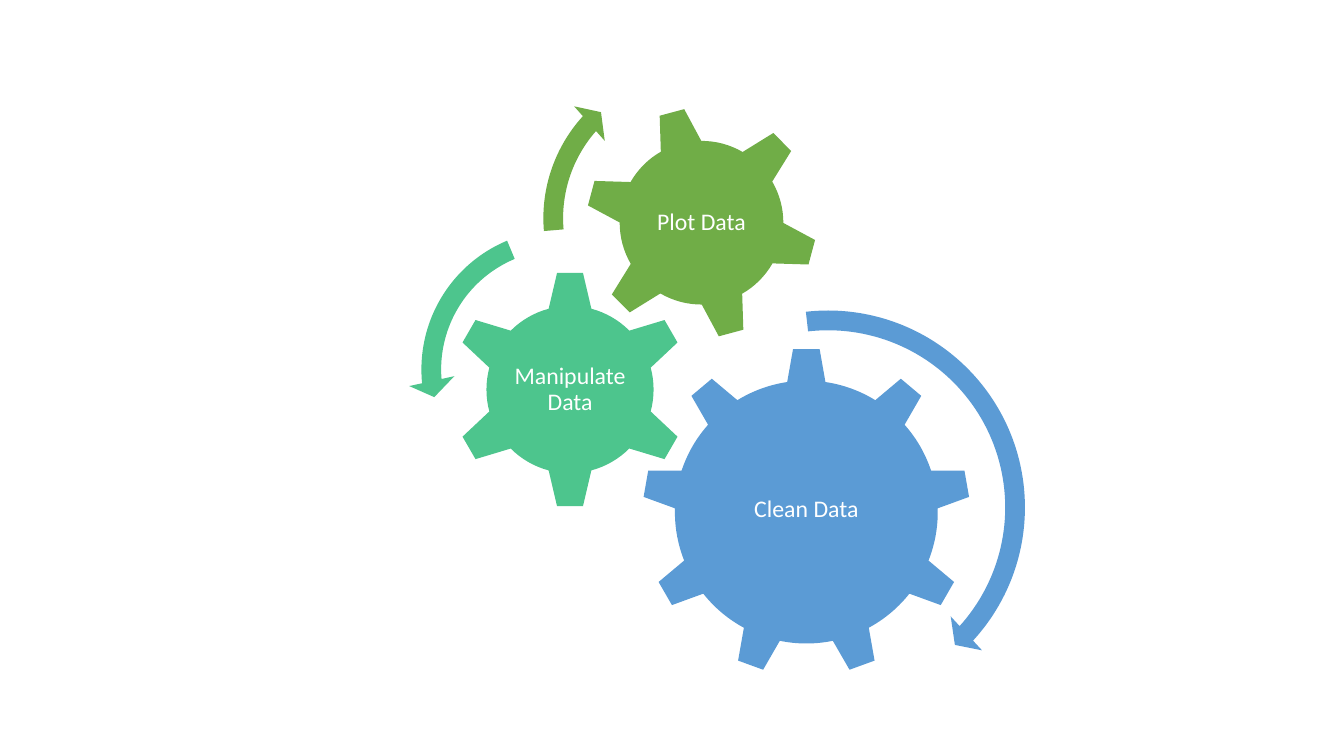
import dataclasses

import pptx
import pptx.dml.color
import pptx.enum.shapes
import pptx.enum.text
import pptx.util

Pt = pptx.util.Pt
Preset = pptx.enum.shapes.MSO_SHAPE


@dataclasses.dataclass(frozen=True)
class Theme:
    """Colours, type and arrow weights of the slide."""
    blue: str = "5B9BD5"
    teal: str = "4DC58D"
    green: str = "70AD47"
    label: str = "FFFFFF"
    font: str = "Calibri"
    label_size: float = 17
    label_inset: float = 1.5
    line_spacing: float = 0.9
    arrow_thickness: float = 14.1
    arrow_head: float = 16.5


@dataclasses.dataclass(frozen=True)
class Gear:
    """A labelled gear; centres are relative to the diagram box."""
    text: str
    color: str
    preset: int
    center: tuple
    side: float
    rotation: float
    label_box: tuple
    label_lift: float


@dataclasses.dataclass(frozen=True)
class Arrow:
    """A curved arrow with its head, end and start angles in degrees."""
    color: str
    preset: int
    center: tuple
    side: float
    angles: tuple


THEME = Theme()
DIAGRAM_ORIGIN = (290, 36)
GEARS = [
    Gear("Clean Data", THEME.blue, Preset.GEAR_9, (286, 329.8), 234.7, 0, (140.4, 121), 1.4),
    Gear("Manipulate Data", THEME.teal, Preset.GEAR_6, (117.2, 242.3), 170.6, 0, (85, 84.2), 0),
    Gear("Plot Data", THEME.green, Preset.GEAR_6, (211.1, 123.1), 167, 345, (93.6, 93.6), 0),
]
ARROWS = [
    Arrow(THEME.blue, Preset.CIRCULAR_ARROW, (301.5, 326.5), 300.2, (4.98, 42.32, 263.54)),
    Arrow(THEME.teal, Preset.LEFT_CIRCULAR_ARROW, (110.7, 227.9), 218.2, (7.17, 174.82, 247.3)),
    Arrow(THEME.green, Preset.CIRCULAR_ARROW, (206.4, 119.9), 235.4, (6.57, 221.9, 175.14)),
]


def centered_box(origin, center, width, height):
    """Return left, top, width and height of a box around a relative centre."""
    left = origin[0] + center[0] - width / 2
    top = origin[1] + center[1] - height / 2
    return Pt(left), Pt(top), Pt(width), Pt(height)


def add_flat_shape(shapes, preset, box, color):
    """Add a preset shape with a plain fill, no line and no shadow."""
    shape = shapes.add_shape(preset, *box)
    shape.shadow.inherit = False
    shape.fill.solid()
    shape.fill.fore_color.rgb = pptx.dml.color.RGBColor.from_string(color)
    shape.line.fill.background()
    return shape


def add_label(shapes, text, box):
    """Add a centred, wrapping label."""
    frame = shapes.add_textbox(*box).text_frame
    frame.word_wrap = True
    frame.vertical_anchor = pptx.enum.text.MSO_ANCHOR.MIDDLE
    frame.margin_left = frame.margin_right = Pt(THEME.label_inset)
    frame.margin_top = frame.margin_bottom = Pt(THEME.label_inset)
    paragraph = frame.paragraphs[0]
    paragraph.alignment = pptx.enum.text.PP_ALIGN.CENTER
    paragraph.line_spacing = THEME.line_spacing
    run = paragraph.add_run()
    run.text = text
    run.font.name = THEME.font
    run.font.size = Pt(THEME.label_size)
    run.font.color.rgb = pptx.dml.color.RGBColor.from_string(THEME.label)


def add_gear(shapes, origin, gear):
    """Add a gear and its upright label."""
    box = centered_box(origin, gear.center, gear.side, gear.side)
    add_flat_shape(shapes, gear.preset, box, gear.color).rotation = gear.rotation
    label_center = (gear.center[0], gear.center[1] - gear.label_lift)
    add_label(shapes, gear.text, centered_box(origin, label_center, *gear.label_box))


def add_arrow(shapes, origin, arrow):
    """Add a curved arrow of the common thickness."""
    box = centered_box(origin, arrow.center, arrow.side, arrow.side)
    shape = add_flat_shape(shapes, arrow.preset, box, arrow.color)
    values = [THEME.arrow_thickness / arrow.side]
    values += [angle * 60000 / 100000 for angle in arrow.angles]
    values.append(THEME.arrow_head / arrow.side)
    for index, value in enumerate(values):
        shape.adjustments[index] = value


def add_gear_diagram(slide, origin):
    """Add the grouped gears and arrows from the given top-left corner."""
    shapes = slide.shapes.add_group_shape().shapes
    for gear in GEARS:
        add_gear(shapes, origin, gear)
    for arrow in ARROWS:
        add_arrow(shapes, origin, arrow)


def main():
    """Build and save the presentation."""
    presentation = pptx.Presentation()
    presentation.slide_width, presentation.slide_height = Pt(960), Pt(540)
    slide = presentation.slides.add_slide(presentation.slide_layouts[6])
    add_gear_diagram(slide, DIAGRAM_ORIGIN)
    presentation.save("out.pptx")


main()
